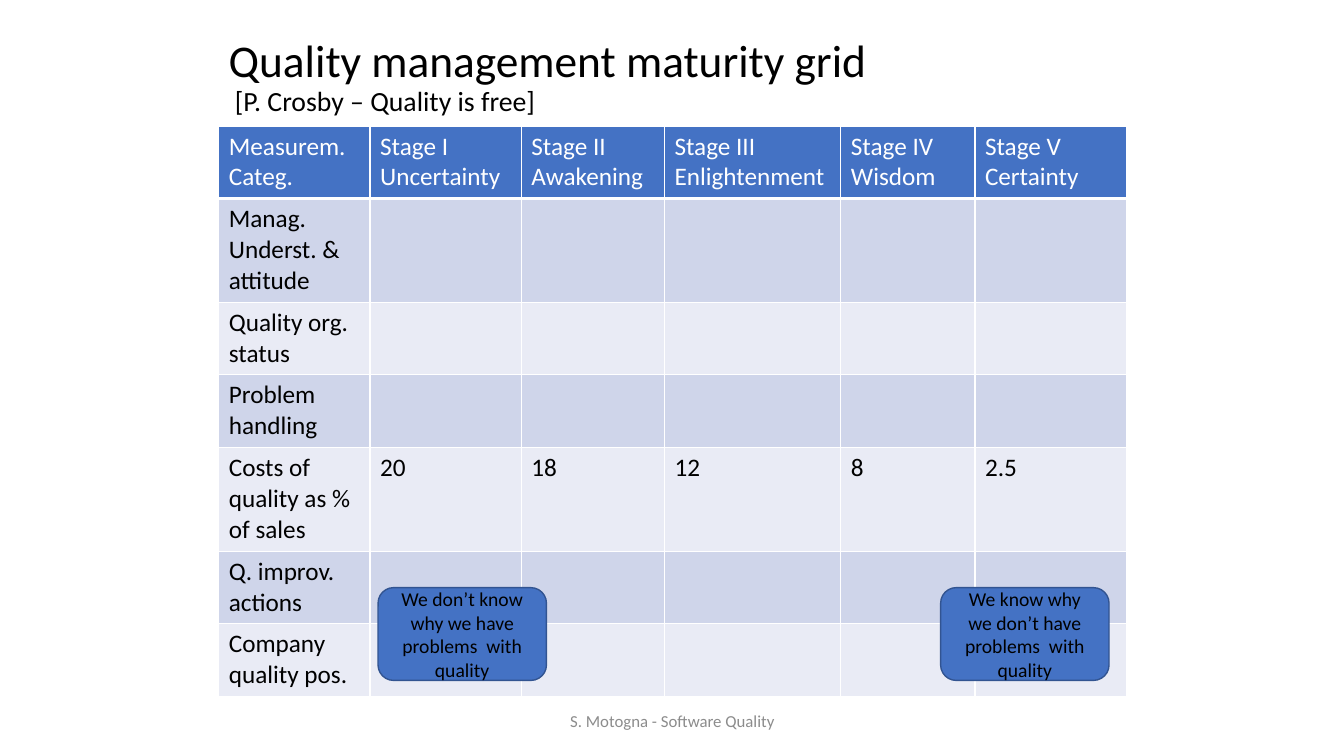
from lxml.etree import SubElement as Sub
from pptx import Presentation
from pptx.dml.color import RGBColor as Rgb
from pptx.enum.shapes import MSO_SHAPE as Shape
from pptx.enum.text import MSO_ANCHOR as Anchor, PP_ALIGN as Align
from pptx.oxml.ns import qn
from pptx.util import Inches, Pt

HUES = {"head": "4472C4", "dark": "CFD5EA", "light": "E9EBF5", "edge": "325491",
        "white": "FFFFFF", "black": "000000", "grey": "8C8C8C"}
FONT = "Calibri"
LEFT, WIDE = 2.17, 9
TOP = 1.25
COLS = [1.5, 1.5, 1.42, 1.75, 1.33, 1.5]
LINE, PAD = 0.31, 0.1
LINES = [2, 3, 2, 2, 3, 2, 2]

HEAD = ["Measurem.\nCateg.", "Stage I\nUncertainty", "Stage II Awakening",
        "Stage III Enlightenment", "Stage IV Wisdom", "Stage V\nCertainty"]
ROWS = [
    ["Manag. Underst. & attitude"],
    ["Quality org. status"],
    ["Problem handling"],
    ["Costs of quality as % of sales", "20", "18", "12", "8", "2.5"],
    ["Q. improv. actions"],
    ["Company quality pos."],
]
NOTES = [(3.75, "We don’t know why we have problems  with quality"),
         (9.33, "We know why we don’t have problems  with quality")]


def hue(name):
    return Rgb.from_string(HUES[name])


def add_run(par, text, size, color="black"):
    run = par.add_run()
    run.text = text
    font = run.font
    font.name, font.size, font.bold = FONT, Pt(size), False
    font.color.rgb = hue(color)


def set_frame(frame, align=Align.LEFT):
    """Wrap and centre vertically; return the first paragraph."""
    frame.word_wrap = True
    frame.vertical_anchor = Anchor.MIDDLE
    par = frame.paragraphs[0]
    par.alignment = align
    return par


def add_box(slide, left, top, wide, high, align=Align.LEFT):
    box = slide.shapes.add_textbox(Inches(left), Inches(top), Inches(wide), Inches(high))
    return set_frame(box.text_frame, align)


def add_title(slide):
    par = add_box(slide, LEFT, 0.3, WIDE, 0.95)
    par.line_spacing = 0.9
    add_run(par, "Quality management maturity grid", 32.4)
    par.add_line_break()
    add_run(par, " [P. Crosby – Quality is free]", 19.8)


def add_edges(cell, base):
    """Draw white cell borders, the lower one base points wide."""
    props = cell._tc.get_or_add_tcPr()
    for tag, size in (("a:lnL", 1), ("a:lnR", 1), ("a:lnT", 1), ("a:lnB", base)):
        line = Sub(props, qn(tag), w=str(Pt(size)))
        Sub(Sub(line, qn("a:solidFill")), qn("a:srgbClr"), val=HUES["white"])


def fill_cell(cell, text, row):
    add_edges(cell, 1 if row else 3)
    shade = ("light", "dark")[row % 2] if row else "head"
    cell.fill.solid()
    cell.fill.fore_color.rgb = hue(shade)
    frame = cell.text_frame
    for i, line in enumerate(text.split("\n") if text else []):
        par = frame.add_paragraph() if i else frame.paragraphs[0]
        add_run(par, line, 18, "black" if row else "white")


def add_grid(slide):
    highs = [n * LINE + PAD for n in LINES]
    grid = slide.shapes.add_table(len(LINES), len(COLS), Inches(LEFT), Inches(TOP),
                                  Inches(WIDE), Inches(sum(highs))).table
    for col, wide in zip(grid.columns, COLS):
        col.width = Inches(wide)
    for row, high in zip(grid.rows, highs):
        row.height = Inches(high)
    for r, texts in enumerate([HEAD] + ROWS):
        for c in range(len(COLS)):
            fill_cell(grid.cell(r, c), texts[c] if c < len(texts) else "", r)


def add_note(slide, left, text):
    note = slide.shapes.add_shape(Shape.ROUNDED_RECTANGLE, Inches(left), Inches(5.83),
                                  Inches(1.67), Inches(0.92))
    note.shadow.inherit = False
    note.fill.solid()
    note.fill.fore_color.rgb = hue("head")
    note.line.color.rgb = hue("edge")
    note.line.width = Pt(1)
    add_run(set_frame(note.text_frame, Align.CENTER), text, 14)


def main():
    deck = Presentation()
    deck.slide_width, deck.slide_height = Inches(13.33), Inches(7.5)
    slide = deck.slides.add_slide(deck.slide_layouts[6])
    add_title(slide)
    add_grid(slide)
    foot = add_box(slide, 4.42, 6.95, 4.5, 0.4, Align.CENTER)
    add_run(foot, "S. Motogna - Software Quality", 12, "grey")
    for left, text in NOTES:
        add_note(slide, left, text)
    deck.save("out.pptx")


if __name__ == "__main__":
    main()
